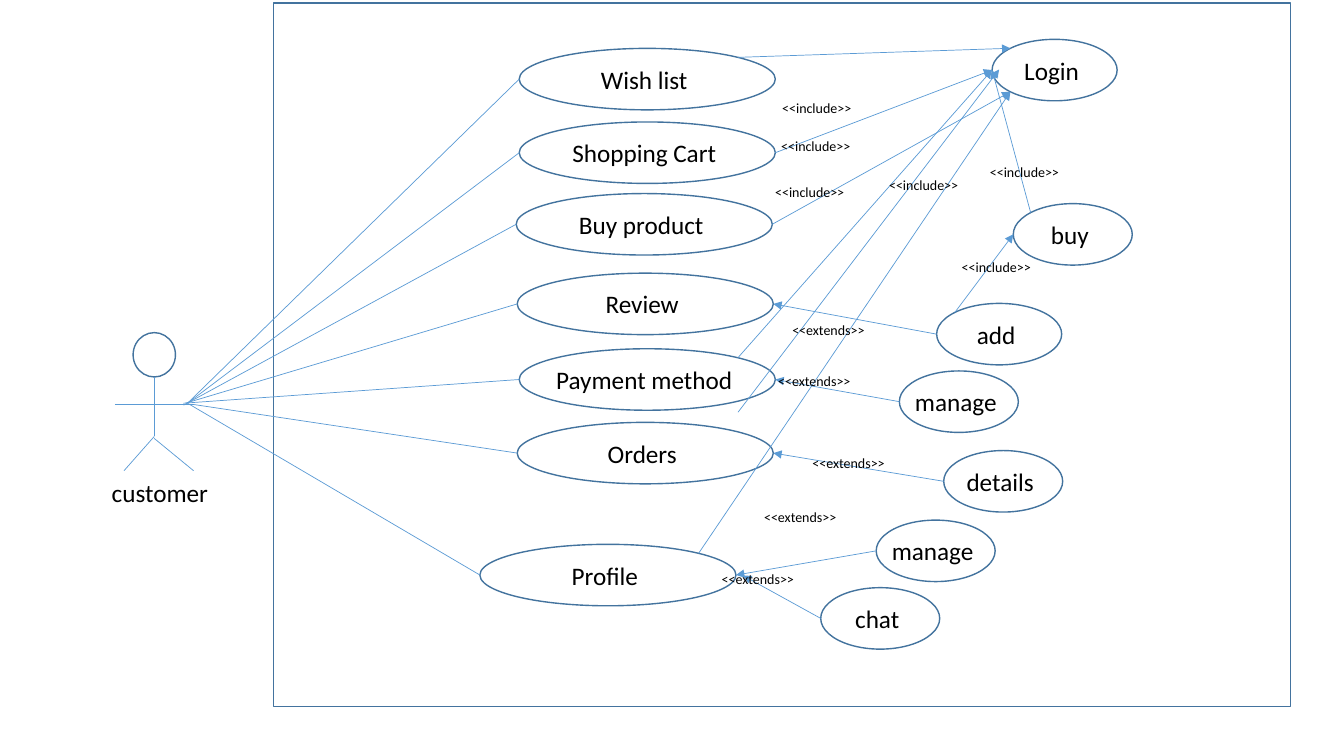
from lxml.etree import SubElement
from pptx import Presentation
from pptx.dml.color import RGBColor
from pptx.enum.shapes import MSO_CONNECTOR, MSO_SHAPE
from pptx.enum.text import MSO_ANCHOR, PP_ALIGN
from pptx.oxml.ns import qn
from pptx.util import Inches, Pt

COLORS = {"outline": "43739E", "link": "5B9BD5", "text": "000000"}
FONT = "Calibri"
OVAL_HEIGHT = 0.61
WIDE, MEDIUM, SMALL = 2.54, 1.24, 1.18

USE_CASES = {
    "wish list": ("Wish list", 5.15, 0.48, WIDE),
    "cart": ("Shopping Cart", 5.15, 1.21, WIDE),
    "buy product": ("Buy product", 5.12, 1.92, WIDE),
    "review": ("Review", 5.13, 2.71, WIDE),
    "payment": ("Payment method", 5.15, 3.46, WIDE),
    "orders": ("Orders", 5.13, 4.19, WIDE),
    "profile": ("Profile", 4.76, 5.4, WIDE),
    "login": ("Login", 9.84, 0.39, MEDIUM),
    "buy": ("buy", 10.05, 2.02, SMALL),
    "add": ("add", 9.29, 3.01, MEDIUM),
    "manage payment": ("manage", 8.92, 3.68, SMALL),
    "details": ("details", 9.36, 4.47, SMALL),
    "manage profile": ("manage", 8.69, 5.16, SMALL),
    "chat": ("chat", 8.14, 5.83, SMALL),
}

SITES = {
    "top left": (1, 0.146, 0.146),
    "left": (2, 0, 0.5),
    "bottom left": (3, 0.146, 0.854),
    "right": (6, 1, 0.5),
    "top right": (7, 0.854, 0.146),
}

CUSTOMER_HAND = {
    "wish list": (1.86, 4), "cart": (1.86, 4), "buy product": (1.82, 4.02),
    "review": (1.84, 4), "payment": (1.82, 4), "orders": (1.9, 4.01),
    "profile": (1.86, 4),
}

ARROWS = [
    (("wish list", "top right"), ("login", "top left")),
    (("cart", "right"), ("login", "left")),
    (("buy product", "right"), ("login", "bottom left")),
    (("add", "left"), ("review", "right")),
    (("add", "top left"), ("buy", "left")),
    (("buy", "top left"), ("login", "left")),
    (("manage payment", "left"), ("payment", "right")),
    (("details", "left"), ("orders", "right")),
    (("manage profile", "left"), ("profile", "right")),
    (("chat", "left"), (7.37, 5.71)),
    (("payment", "top right"), ("login", "left")),
    ((7.32, 4.09), (9.91, 0.69)),
    (("profile", "top right"), ("login", "bottom left")),
]

STEREOTYPES = {
    "<<include>>": (0.9, [(7.66, 0.94), (7.65, 1.32), (7.59, 1.77), (8.72, 1.7),
                          (9.44, 2.52), (9.72, 1.57)]),
    "<<extends>>": (1.09, [(7.76, 3.14), (7.62, 3.65), (7.96, 4.46), (7.48, 5),
                           (7.06, 5.61)]),
}

BODY_LINES = [
    ((1.53, 3.74), (1.53, 4.33)),
    ((1.14, 4.01), (1.92, 4.01)),
    ((1.53, 4.33), (1.23, 4.67)),
    ((1.53, 4.35), (1.92, 4.67)),
]


def rgb(role):
    return RGBColor.from_string(COLORS[role])


def add_outline(shapes, preset, *box):
    outline = shapes.add_shape(preset, *map(Inches, box))
    outline.shadow.inherit = False
    outline.fill.background()
    outline.line.color.rgb = rgb("outline")
    outline.line.width = Pt(1)
    return outline


def write(frame, text, size, align):
    frame.text = text
    paragraph = frame.paragraphs[0]
    paragraph.alignment = align
    paragraph.font.name = FONT
    paragraph.font.size = Pt(size)
    paragraph.font.color.rgb = rgb("text")


def add_label(shapes, text, size, *box):
    label = shapes.add_textbox(*map(Inches, box))
    write(label.text_frame, text, size, PP_ALIGN.LEFT)
    label.text_frame.word_wrap = False


def locate(end):
    if end[0] not in USE_CASES:
        return end
    _, left, top, width = USE_CASES[end[0]]
    _, across, down = SITES[end[1]]
    return left + width * across, top + OVAL_HEIGHT * down


def add_link(shapes, start, end, arrow=False):
    points = [Inches(value) for value in (*locate(start), *locate(end))]
    link = shapes.add_connector(MSO_CONNECTOR.STRAIGHT, *points)
    link.line.color.rgb = rgb("link")
    link.line.width = Pt(0.5)
    if arrow:
        SubElement(link.line._get_or_add_ln(), qn("a:tailEnd"), type="triangle")
    SubElement(link._element.spPr, qn("a:effectLst"))
    joints = link._element.find(qn("p:nvCxnSpPr")).find(qn("p:cNvCxnSpPr"))
    for tag, joint in (("a:stCxn", start), ("a:endCxn", end)):
        if joint[0] in ovals:
            SubElement(joints, qn(tag), id=str(ovals[joint[0]].shape_id),
                       idx=str(SITES[joint[1]][0]))


presentation = Presentation()
presentation.slide_width = Inches(13.33)
presentation.slide_height = Inches(7.5)
diagram = presentation.slides.add_slide(presentation.slide_layouts[6]).shapes
ovals = {}

add_outline(diagram, MSO_SHAPE.RECTANGLE, 2.71, 0.03, 10.09, 6.98)

customer = diagram.add_group_shape().shapes
add_outline(customer, MSO_SHAPE.FLOWCHART_CONNECTOR, 1.32, 3.3, 0.42, 0.44)
for start, end in BODY_LINES:
    add_link(customer, start, end)
add_label(customer, "customer", 18, 1.01, 4.69, 1.17, 0.4)

for use_case, (title, left, top, width) in USE_CASES.items():
    oval = add_outline(diagram, MSO_SHAPE.OVAL, left, top, width, OVAL_HEIGHT)
    frame = oval.text_frame
    write(frame, title, 18, PP_ALIGN.CENTER)
    frame.word_wrap = False
    frame.vertical_anchor = MSO_ANCHOR.MIDDLE
    frame.margin_left = frame.margin_top = frame.margin_bottom = 0
    frame.margin_right = Inches(0.06)
    ovals[use_case] = oval

for use_case, hand in CUSTOMER_HAND.items():
    add_link(diagram, hand, (use_case, "left"))
for start, end in ARROWS:
    add_link(diagram, start, end, arrow=True)

for stereotype, (width, places) in STEREOTYPES.items():
    for left, top in places:
        add_label(diagram, stereotype, 10, left, top, width, 0.27)

presentation.save("out.pptx")
